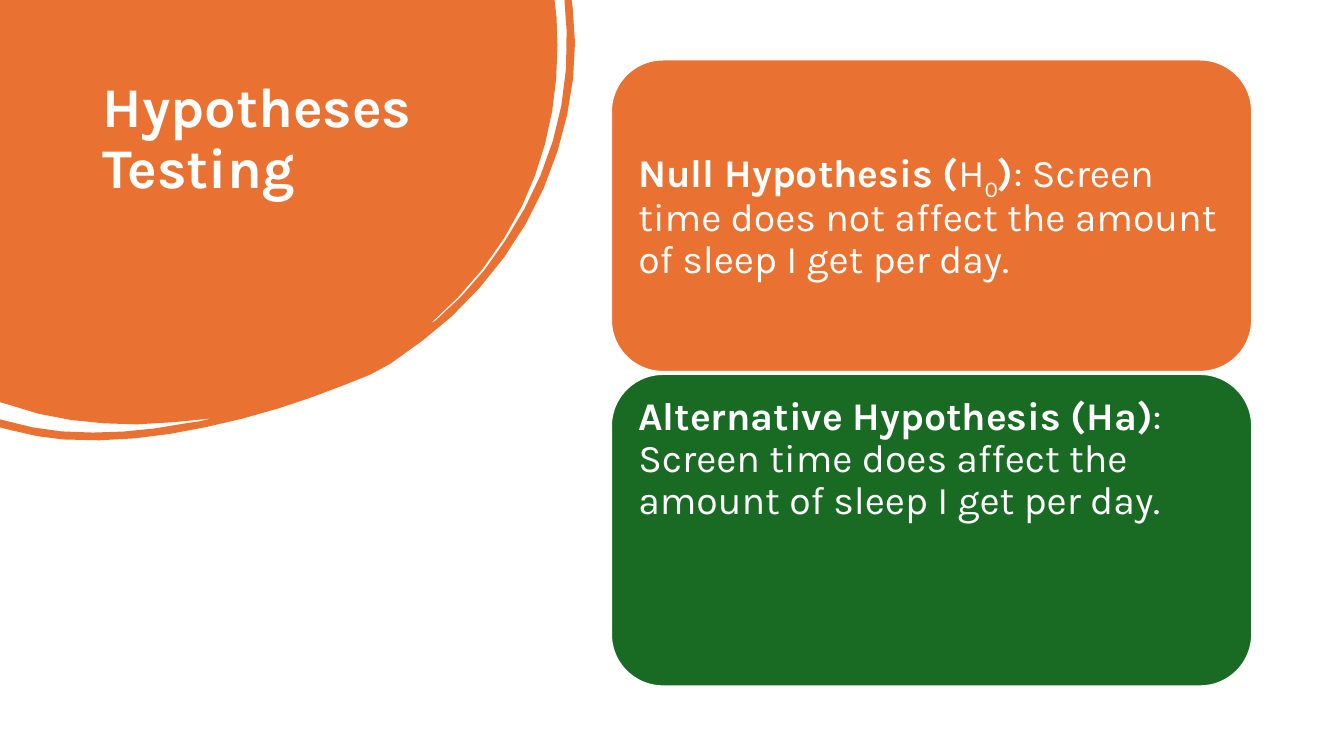
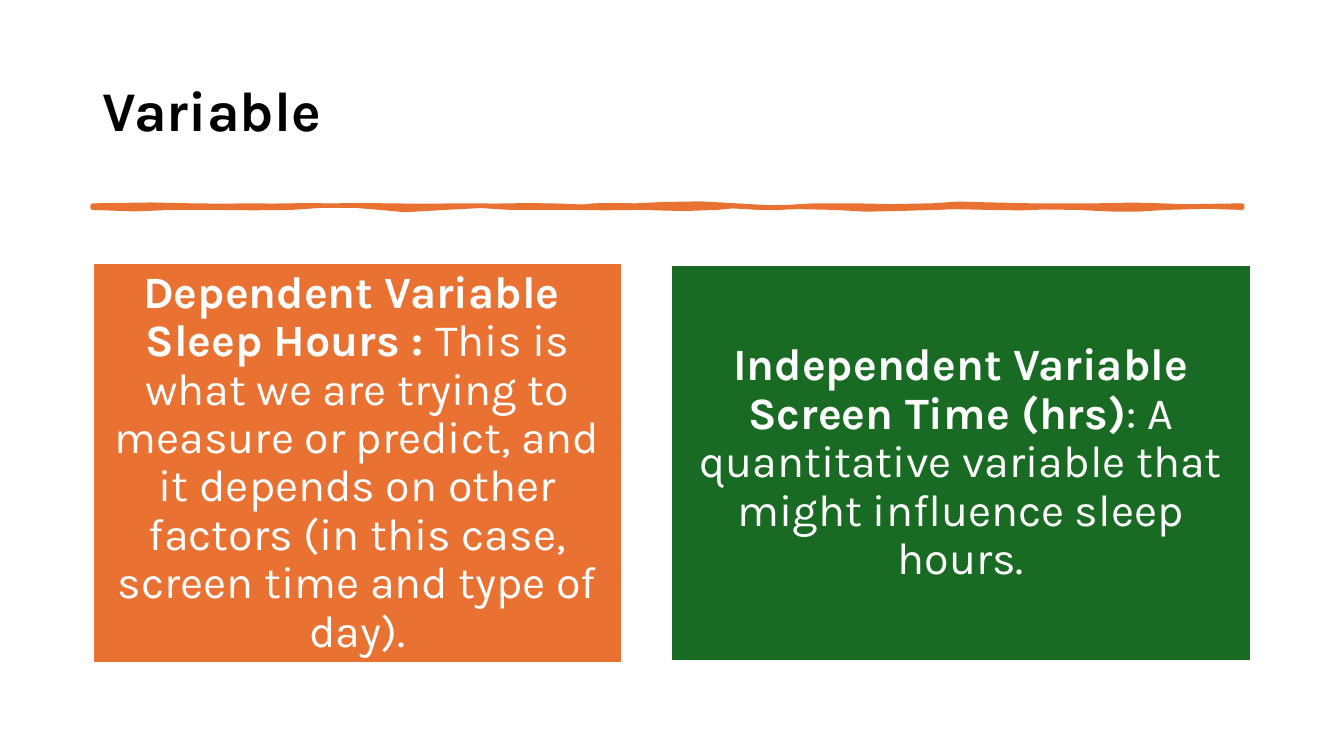
from dataclasses import dataclass
from math import ceil, dist
from typing import Optional, Sequence

from pptx import Presentation
from pptx.dml.color import RGBColor
from pptx.enum.shapes import MSO_SHAPE
from pptx.enum.text import MSO_ANCHOR, PP_ALIGN
from pptx.shapes.autoshape import Shape
from pptx.slide import Slide
from pptx.text.text import TextFrame
from pptx.util import Inches, Pt


# Theme
@dataclass(frozen=True)
class Theme:
    orange: RGBColor = RGBColor(0xE9, 0x71, 0x32)
    green: RGBColor = RGBColor(0x19, 0x6B, 0x24)
    white: RGBColor = RGBColor(0xFF, 0xFF, 0xFF)
    black: RGBColor = RGBColor(0x00, 0x00, 0x00)
    font: str = "Karla"
    title_size: int = 40
    hypothesis_size: int = 28
    variable_size: int = 32
    line_spacing: float = 0.9
    card_line: float = 1.5
    rule_line: float = 3.25


THEME = Theme()


@dataclass(frozen=True)
class Frame:
    left: float
    top: float
    width: float
    height: float


@dataclass(frozen=True)
class Span:
    text: str
    bold: bool = False
    subscript: bool = False


@dataclass(frozen=True)
class Card:
    frame: Frame
    fill: RGBColor
    spans: tuple[Span, ...]
    anchor: MSO_ANCHOR = MSO_ANCHOR.MIDDLE
    top_inset: Optional[float] = None


@dataclass(frozen=True)
class CardStyle:
    preset: MSO_SHAPE
    size: int
    align: PP_ALIGN
    inset: float


# A segment holds an end point, or two control points and an end point
Segment = tuple[float, ...]
Point = tuple[float, float]
STEP_LENGTH = 0.4

CORNER_START: Point = (0, 0)
CORNER_BLOB: list[Segment] = [
    (5.5, 0), (5.52, 0.17),
    (5.53, 0.26, 5.53, 0.36, 5.53, 0.45), (5.53, 1.01, 5.42, 1.54, 5.18, 2.04),
    (4.96, 2.49, 4.65, 2.88, 4.27, 3.21), (4.29, 3.21, 4.3, 3.19, 4.32, 3.18),
    (4.59, 2.95, 4.82, 2.69, 5.01, 2.39), (5.43, 1.76, 5.65, 1.07, 5.62, 0.3),
    (5.62, 0.21, 5.61, 0.12, 5.6, 0.03),
    (5.6, 0), (5.67, 0), (5.68, 0.07),
    (5.74, 0.54, 5.68, 1.02, 5.53, 1.5), (5.33, 2.14, 4.97, 2.68, 4.48, 3.14),
    (4.39, 3.23, 4.29, 3.31, 4.19, 3.38), (4.09, 3.46, 3.99, 3.53, 3.87, 3.61),
    (3.75, 3.69, 3.6, 3.75, 3.44, 3.81), (2.99, 3.99, 2.52, 4.14, 2.03, 4.24),
    (1.57, 4.34, 1.1, 4.39, 0.63, 4.36), (0.45, 4.34, 0.28, 4.32, 0.12, 4.27),
    (0, 4.24), (0, 4.16), (0.04, 4.17),
    (0.23, 4.23, 0.42, 4.26, 0.61, 4.28), (1.03, 4.31, 1.43, 4.28, 1.84, 4.2),
    (1.89, 4.2, 1.93, 4.19, 1.98, 4.18), (2.02, 4.17, 2.06, 4.16, 2.1, 4.15),
    (1.86, 4.18, 1.61, 4.2, 1.36, 4.21), (0.92, 4.21, 0.48, 4.16, 0.07, 4.01),
    (0, 3.99),
]

RULE_START: Point = (0.92, 2.04)
RULE_STROKE: list[Segment] = [
    (1.19, 2.04, 1.44, 2.02, 1.9, 2.04), (2.37, 2.06, 2.2, 2.03, 2.44, 2.04),
    (2.67, 2.05, 3.03, 2.03, 3.31, 2.04), (3.6, 2.05, 3.59, 2.02, 3.84, 2.04),
    (4.1, 2.06, 4.23, 2.03, 4.6, 2.04), (4.98, 2.05, 5.14, 2.03, 5.48, 2.04),
    (5.81, 2.05, 5.81, 2.06, 5.89, 2.04), (5.98, 2.02, 6.15, 2.05, 6.31, 2.04),
    (6.47, 2.03, 7.01, 2, 7.3, 2.04), (7.59, 2.08, 7.81, 2.06, 8.06, 2.04),
    (8.31, 2.02, 8.27, 2.06, 8.48, 2.04), (8.68, 2.02, 9.01, 2.08, 9.24, 2.04),
    (9.47, 2, 9.82, 2.04, 10.23, 2.04), (10.63, 2.04, 10.63, 2.04, 10.87, 2.04),
    (11.12, 2.04, 11.36, 2.02, 11.52, 2.04), (11.68, 2.06, 12.03, 2.04, 12.32, 2.04),
    (12.32, 2.06),
    (12.05, 2.06, 11.89, 2.03, 11.56, 2.06), (11.22, 2.09, 11.1, 2.08, 10.68, 2.06),
    (10.27, 2.04, 10.23, 2.08, 9.81, 2.06), (9.39, 2.04, 9.52, 2.06, 9.28, 2.06),
    (9.04, 2.06, 8.51, 2.1, 8.29, 2.06), (8.06, 2.02, 7.82, 2.08, 7.53, 2.06),
    (7.24, 2.04, 7.25, 2.04, 7.11, 2.06), (6.98, 2.08, 6.61, 2.07, 6.35, 2.06),
    (6.09, 2.05, 5.9, 2.08, 5.7, 2.06), (5.51, 2.04, 5.28, 2.08, 5.06, 2.06),
    (4.83, 2.04, 4.73, 2.03, 4.41, 2.06), (4.09, 2.09, 3.9, 2.09, 3.77, 2.06),
    (3.63, 2.03, 3.1, 2.03, 2.89, 2.06), (2.68, 2.09, 2.35, 2.04, 2.13, 2.06),
    (1.92, 2.08, 1.89, 2.04, 1.71, 2.06), (1.54, 2.08, 1.14, 2.08, 0.92, 2.06),
]

# Slide content
HYPOTHESIS_STYLE = CardStyle(
    MSO_SHAPE.ROUNDED_RECTANGLE, THEME.hypothesis_size, PP_ALIGN.LEFT, 0.12)
VARIABLE_STYLE = CardStyle(
    MSO_SHAPE.RECTANGLE, THEME.variable_size, PP_ALIGN.CENTER, 0.13)

HYPOTHESES = (
    Card(Frame(6.06, 0.59, 6.36, 3.1), THEME.orange, (
        Span("Null Hypothesis (", bold=True),
        Span("H"),
        Span("0", subscript=True),
        Span(")", bold=True),
        Span(": Screen time does not affect the amount of sleep I get per day."),
    )),
    Card(Frame(6.06, 3.71, 6.36, 3.1), THEME.green, (
        Span("Alternative Hypothesis (Ha)", bold=True),
        Span(":\nScreen time does affect the amount of sleep I get per day."),
    ), anchor=MSO_ANCHOR.TOP, top_inset=0.07),
)

VARIABLES = (
    Card(Frame(0.92, 2.61, 5.25, 3.97), THEME.orange, (
        Span("Dependent Variable \nSleep Hours : ", bold=True),
        Span("This is what we are trying to measure or predict, and it depends "
             "on other factors (in this case, screen time and type of day)."),
    )),
    Card(Frame(6.65, 2.63, 5.76, 3.93), THEME.green, (
        Span("Independent Variable\nScreen Time (hrs)", bold=True),
        Span(": A quantitative variable that might influence sleep hours."),
    )),
)


# Drawing helpers
def curve_points(start: Point, segment: Segment) -> list[Point]:
    """Sample a cubic curve by its length; a straight segment gives its end."""
    if len(segment) == 2:
        return [(segment[0], segment[1])]
    x1, y1, x2, y2, x3, y3 = segment
    steps = ceil(dist(start, (x3, y3)) / STEP_LENGTH)
    points = []
    for step in range(1, steps + 1):
        t = step / steps
        weights = ((1 - t) ** 3, 3 * t * (1 - t) ** 2, 3 * t * t * (1 - t), t ** 3)
        points.append((
            sum(w * x for w, x in zip(weights, (start[0], x1, x2, x3))),
            sum(w * y for w, y in zip(weights, (start[1], y1, y2, y3))),
        ))
    return points


def add_outline(page: Slide, start: Point, segments: Sequence[Segment]) -> Shape:
    points = [start]
    for segment in segments:
        points.extend(curve_points(points[-1], segment))
    corners = [(Inches(x), Inches(y)) for x, y in points]
    builder = page.shapes.build_freeform(*corners[0])
    builder.add_line_segments(corners[1:], close=True)
    outline = builder.convert_to_shape()
    outline.shadow.inherit = False
    outline.fill.solid()
    outline.fill.fore_color.rgb = THEME.orange
    outline.line.fill.background()
    return outline


def write_spans(text_frame: TextFrame, spans: Sequence[Span], size: int,
                color: RGBColor, align: PP_ALIGN = PP_ALIGN.LEFT) -> None:
    text_frame.word_wrap = True
    para = text_frame.paragraphs[0]
    para.alignment = align
    para.line_spacing = THEME.line_spacing
    for span in spans:
        for index, piece in enumerate(span.text.split("\n")):
            if index:
                para.add_line_break()
            run = para.add_run()
            run.text = piece
            run.font.name = THEME.font
            run.font.size = Pt(size)
            run.font.bold = span.bold
            run.font.color.rgb = color
            if span.subscript:
                run._r.get_or_add_rPr().set("baseline", "-25000")


def inches(frame: Frame) -> tuple[Inches, Inches, Inches, Inches]:
    return (Inches(frame.left), Inches(frame.top),
            Inches(frame.width), Inches(frame.height))


def add_title(page: Slide, text: str, frame: Frame, color: RGBColor,
              anchor: MSO_ANCHOR) -> None:
    box = page.shapes.add_textbox(*inches(frame))
    box.text_frame.vertical_anchor = anchor
    write_spans(box.text_frame, [Span(text, bold=True)], THEME.title_size, color)


def add_card(page: Slide, card: Card, style: CardStyle) -> None:
    box = page.shapes.add_shape(style.preset, *inches(card.frame))
    box.shadow.inherit = False
    box.fill.solid()
    box.fill.fore_color.rgb = card.fill
    box.line.color.rgb = THEME.white
    box.line.width = Pt(THEME.card_line)
    text_frame = box.text_frame
    text_frame.vertical_anchor = card.anchor
    text_frame.margin_left = text_frame.margin_right = Inches(style.inset)
    text_frame.margin_top = text_frame.margin_bottom = Inches(style.inset)
    if card.top_inset is not None:
        text_frame.margin_top = Inches(card.top_inset)
    write_spans(text_frame, card.spans, style.size, THEME.white, style.align)


# Slides
def build_hypotheses(page: Slide) -> None:
    add_outline(page, CORNER_START, CORNER_BLOB)
    add_title(page, "Hypotheses Testing", Frame(0.92, 0.74, 3.52, 2.22),
              THEME.white, MSO_ANCHOR.TOP)
    for card in HYPOTHESES:
        add_card(page, card, HYPOTHESIS_STYLE)


def build_variables(page: Slide) -> None:
    add_title(page, "Variable", Frame(0.92, 0.4, 11.5, 1.45),
              THEME.black, MSO_ANCHOR.MIDDLE)
    rule = add_outline(page, RULE_START, RULE_STROKE)
    rule.line.color.rgb = THEME.orange
    rule.line.width = Pt(THEME.rule_line)
    for card in VARIABLES:
        add_card(page, card, VARIABLE_STYLE)


def main() -> None:
    deck = Presentation()
    deck.slide_width = Inches(13.33)
    deck.slide_height = Inches(7.5)
    for build in (build_hypotheses, build_variables):
        build(deck.slides.add_slide(deck.slide_layouts[6]))
    deck.save("out.pptx")


if __name__ == "__main__":
    main()
